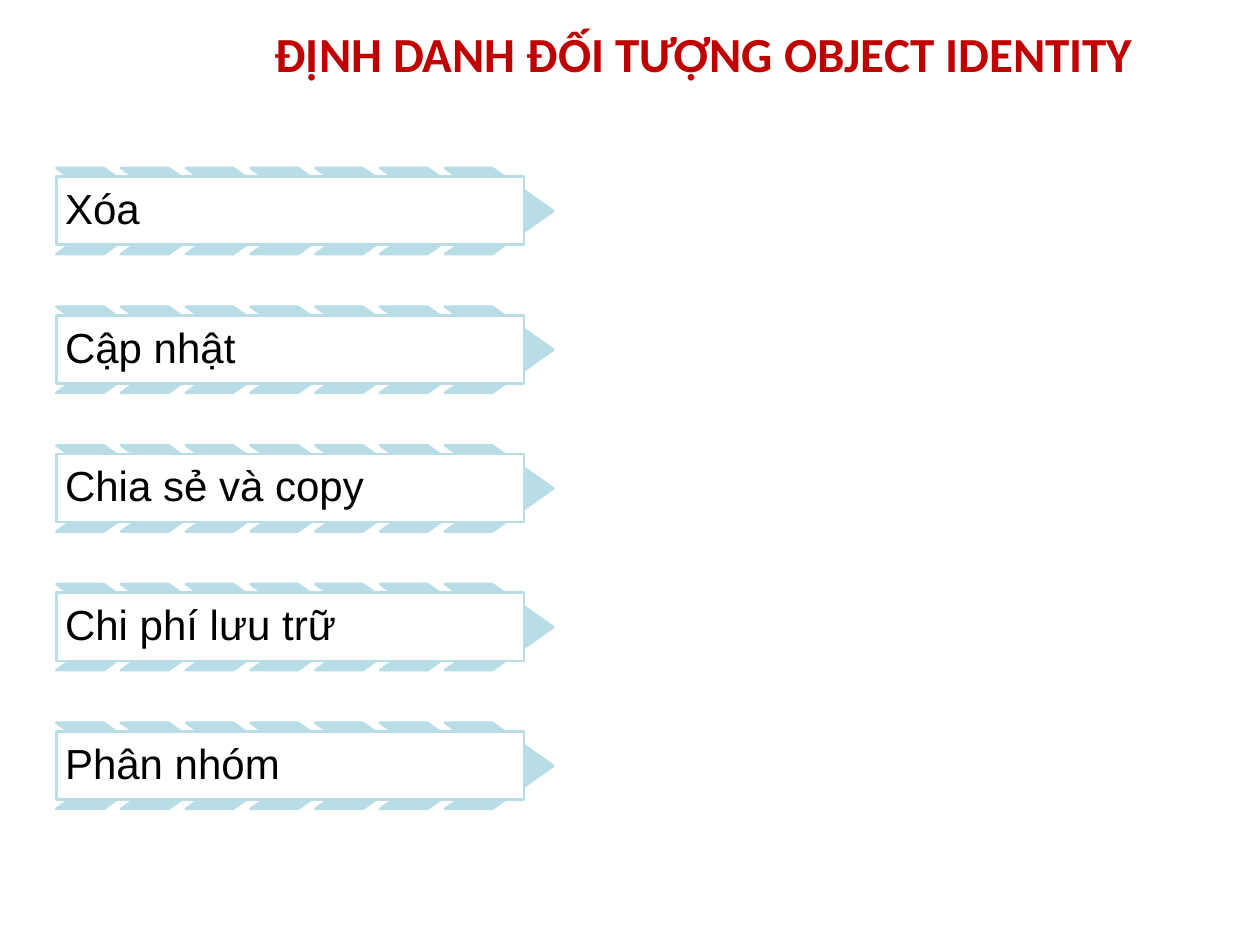
"""Builds a slide listing object identity topics as striped arrow banners."""
from pptx import Presentation, util as u
from pptx.dml.color import RGBColor
from pptx.enum import shapes, text

COLORS = {"title": "C00000", "accent": "B8DDE7", "paper": "FFFFFF", "ink": "000000"}
TOPICS = ["Xóa", "Cập nhật", "Chia sẻ và copy", "Chi phí lưu trữ", "Phân nhóm"]
LEFT, TOP, ROW_STEP = 32.2, 96, 79.26
CHEVRONS, CHEVRON_STEP = 7, 37


class SlideBuilder:
    """Holds the style and the current slide."""

    def __init__(self, prs):
        self.s = prs.slides.add_slide(prs.slide_layouts[5])

    def color(self, name):
        return RGBColor.from_string(COLORS[name])

    def run(self, p, words, font, size, color, bold=False):
        r = p.add_run()
        r.text = words
        r.font.name, r.font.size, r.font.bold = font, u.Pt(size), bold
        r.font.color.rgb = self.color(color)

    def title(self, words, x, y, w, h):
        sp = self.s.shapes.title
        sp.left, sp.top, sp.width, sp.height = map(u.Pt, (x, y, w, h))
        tf = sp.text_frame
        tf.auto_size = text.MSO_AUTO_SIZE.NONE
        tf.vertical_anchor = text.MSO_ANCHOR.MIDDLE
        p = tf.paragraphs[0]
        p.alignment = text.PP_ALIGN.CENTER
        self.run(p, words, "Calibri", 28, "title", True)

    def shape(self, parent, kind, x, y, w, h, fill):
        sp = parent.shapes.add_shape(kind, *map(u.Pt, (x, y, w, h)))
        sp.shadow.inherit = False
        sp.fill.solid()
        sp.fill.fore_color.rgb = self.color(fill)
        sp.line.color.rgb = self.color("accent")
        sp.line.width = u.Pt(1.5)
        return sp

    def banner(self, words, x, y):
        group = self.s.shapes.add_group_shape()
        for i in range(CHEVRONS):
            chevron = self.shape(group, shapes.MSO_SHAPE.CHEVRON,
                                 x + i * CHEVRON_STEP, y, 62, 49.2, "accent")
            chevron.adjustments[0] = 0.71
        box = self.shape(group, shapes.MSO_SHAPE.RECTANGLE, x, y + 4.9, 267.2, 39, "paper")
        tf = box.text_frame
        tf.word_wrap = True
        tf.vertical_anchor = text.MSO_ANCHOR.MIDDLE
        tf.margin_left = tf.margin_right = tf.margin_top = tf.margin_bottom = u.Pt(5)
        p = tf.paragraphs[0]
        p.alignment = text.PP_ALIGN.LEFT
        p.line_spacing = 0.9
        self.run(p, words, "Arial", 24, "ink")


def main():
    prs = Presentation()
    prs.slide_width, prs.slide_height = u.Pt(720), u.Pt(540)
    slide = SlideBuilder(prs)
    slide.title("ĐỊNH DANH ĐỐI TƯỢNG OBJECT IDENTITY", 120, 9.4, 564, 42)
    for i, topic in enumerate(TOPICS):
        slide.banner(topic, LEFT, TOP + i * ROW_STEP)
    prs.save("out.pptx")


if __name__ == "__main__":
    main()
